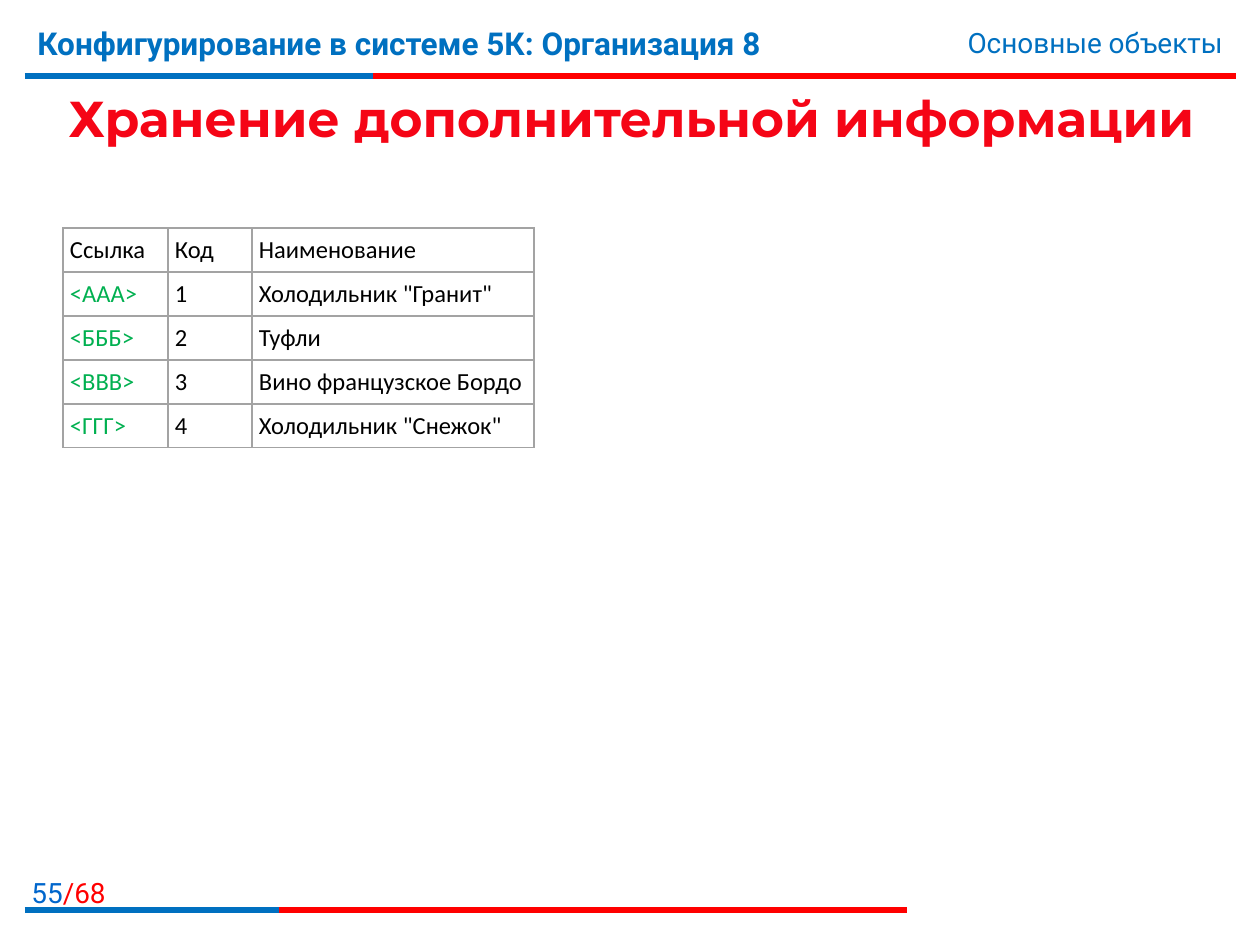
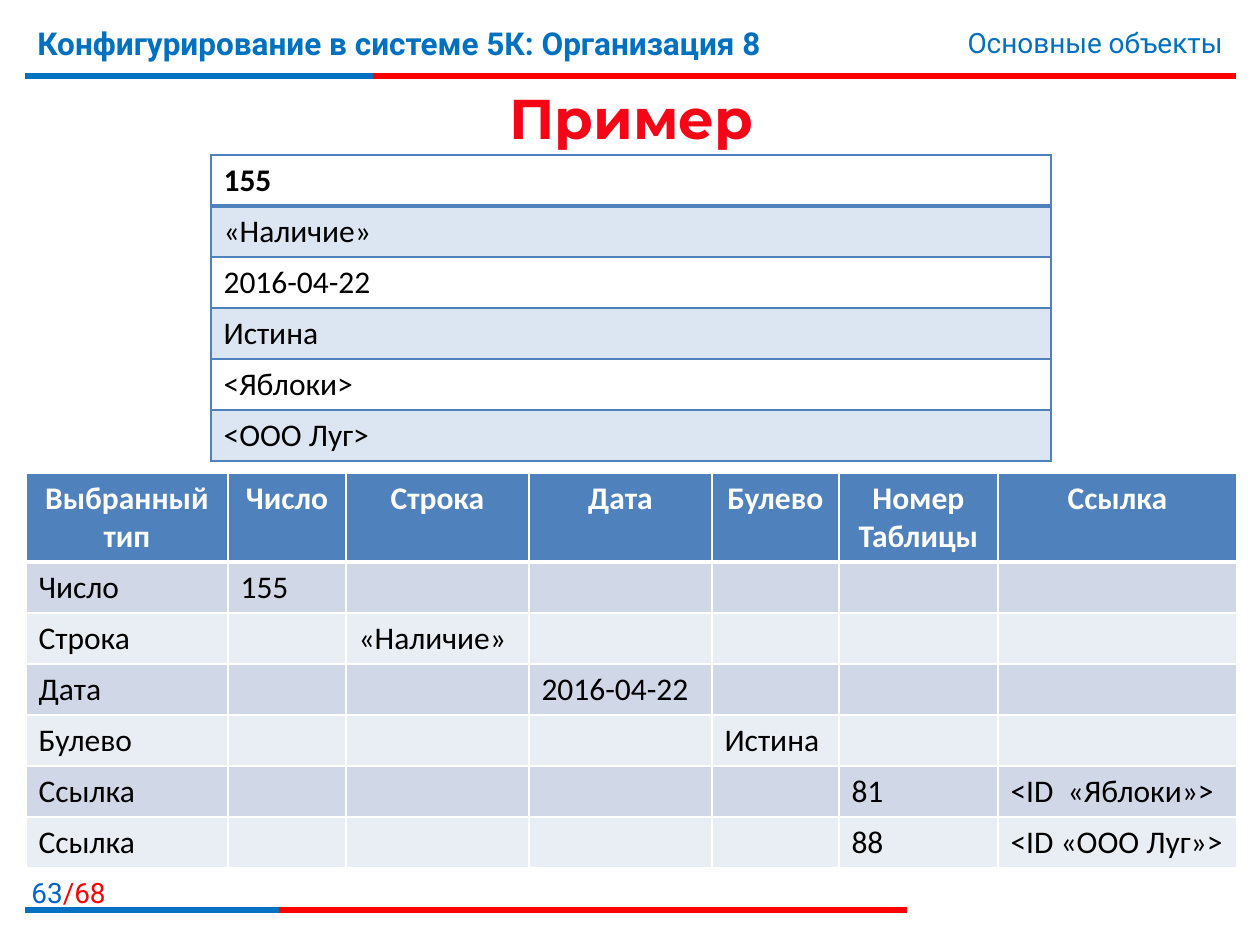
import pptx
import pptx.util
import pptx.dml.color
import pptx.enum.shapes
import pptx.enum.text
import pptx.oxml
import pptx.oxml.ns
import lxml.etree
from dataclasses import dataclass

ALIGN = pptx.enum.text.PP_ALIGN
ANCHOR = pptx.enum.text.MSO_ANCHOR


@dataclass(frozen=True)
class Theme:
    blue: str = "0070C0"
    page_blue: str = "0066CC"
    red: str = "FF0000"
    title_red: str = "F50516"
    title_dark: str = "C00000"
    black: str = "000000"
    white: str = "FFFFFF"
    green: str = "00B050"
    grey: str = "A3A3A3"
    steel: str = "4F81BD"
    steel_pale: str = "DCE6F2"
    band_dark: str = "D0D8E8"
    band_light: str = "E9EDF4"
    head_font: str = "Roboto"
    title_font: str = "Montserrat"
    body_font: str = "Calibri"
    header: float = 18
    note: float = 16
    title: float = 32
    title_long: float = 28.8
    table: float = 18
    table_small: float = 14
    rule: float = 3


T = Theme()
PAGES = 68


def px(n):
    return pptx.util.Inches(n / 126)


def rgb(c):
    return pptx.dml.color.RGBColor.from_string(c)


def add_run(p, text, size, color, font, bold=False):
    r = p.add_run()
    r.text = text
    r.font.size = pptx.util.Pt(size)
    r.font.name = font
    r.font.bold = bold
    r.font.color.rgb = rgb(color)
    return r


def add_text(s, box, align=ALIGN.LEFT, anchor=ANCHOR.TOP):
    """Add an empty text box and return its first paragraph."""
    tf = s.shapes.add_textbox(*map(px, box)).text_frame
    tf.word_wrap = True
    tf.vertical_anchor = anchor
    p = tf.paragraphs[0]
    p.alignment = align
    return p


def add_rule(s, x, y, width, blue_width):
    """Draw a red line whose first part is blue."""
    for length, color in ((width, T.red), (blue_width, T.blue)):
        line = s.shapes.add_connector(
            pptx.enum.shapes.MSO_CONNECTOR.STRAIGHT, px(x), px(y), px(x + length), px(y))
        line.line.color.rgb = rgb(color)
        line.line.width = pptx.util.Pt(T.rule)
        lxml.etree.SubElement(line._element.spPr, pptx.oxml.ns.qn("a:effectLst"))


def add_header(s, x, y, width):
    p = add_text(s, (x, y, 932, 66))
    add_run(p, "Конфигурирование в системе 5К: Организация 8",
            T.header, T.blue, T.head_font, True)
    p = add_text(s, (x + width - 487, y + 1, 486, 47), ALIGN.RIGHT)
    add_run(p, "Основные объекты", T.note, T.blue, T.head_font)
    add_rule(s, x, y + 58, width, 348)


def add_footer(s, x, y, page):
    p = add_text(s, (x - 25, y, 118, 40), ALIGN.RIGHT)
    add_run(p, str(page), T.note, T.page_blue, T.head_font)
    add_run(p, f"/{PAGES}", T.note, T.red, T.head_font)
    add_rule(s, x, y + 41, 882, 254)


def add_title(s, box, text, size):
    p = add_text(s, box, ALIGN.CENTER, ANCHOR.MIDDLE)
    r = add_run(p, text, size, T.title_red, T.title_font, True)
    fill = r.font.fill
    fill.gradient()
    fill.gradient_angle = 270
    stops = ((0.55, T.title_red), (0.86, T.title_dark))
    for stop, (position, color) in zip(fill.gradient_stops, stops):
        stop.position = position
        stop.color.rgb = rgb(color)


def set_borders(cell, color, top, bottom):
    tc_pr = cell._tc.get_or_add_tcPr()
    for i, (side, width) in enumerate((("L", 1), ("R", 1), ("T", top), ("B", bottom))):
        tc_pr.insert(i, pptx.oxml.parse_xml(
            f'<a:ln{side} {pptx.oxml.ns.nsdecls("a")} w="{pptx.util.Pt(width)}">'
            f'<a:solidFill><a:srgbClr val="{color}"/></a:solidFill></a:ln{side}>'))


def add_table(s, x, y, cols, heights, rows, border, style, size=T.table,
              head_rule=1, inset=None):
    """style(row, col) gives fill (or None), text colour, bold and alignment."""
    tbl = s.shapes.add_table(len(rows), len(cols), px(x), px(y),
                             px(sum(cols)), px(sum(heights))).table
    tbl.first_row = tbl.horz_banding = False
    for col, width in zip(tbl.columns, cols):
        col.width = px(width)
    for i, (values, height) in enumerate(zip(rows, heights)):
        tbl.rows[i].height = px(height)
        for j, value in enumerate(values):
            cell = tbl.cell(i, j)
            fill, color, bold, align = style(i, j)
            if fill:
                cell.fill.solid()
                cell.fill.fore_color.rgb = rgb(fill)
            else:
                cell.fill.background()
            if inset:
                cell.margin_left = cell.margin_right = px(inset)
                cell.margin_top = cell.margin_bottom = px(inset)
            set_borders(cell, border, head_rule if i == 1 else 1,
                        head_rule if i == 0 else 1)
            if value:
                p = cell.text_frame.paragraphs[0]
                p.alignment = align
                add_run(p, value, size, color, T.body_font, bold)


def add_goods_table(s, x, y):
    rows = [
        ("Ссылка", "Код", "Наименование"),
        ("<ААА>", "1", 'Холодильник "Гранит"'),
        ("<БББ>", "2", "Туфли"),
        ("<ВВВ>", "3", "Вино французское Бордо"),
        ("<ГГГ>", "4", 'Холодильник "Снежок"'),
    ]

    def style(i, j):
        return None, T.green if i and j == 0 else T.black, False, ALIGN.LEFT

    add_table(s, x, y, (105, 84, 282), [44] * len(rows), rows, T.grey, style,
              T.table_small, inset=7)


def add_values_table(s, x, y):
    values = ("155", "«Наличие»", "2016-04-22", "Истина", "<Яблоки>", "<ООО Луг>")

    def style(i, j):
        return T.steel_pale if i % 2 else None, T.black, i == 0, ALIGN.LEFT

    add_table(s, x, y, (840,), [51] * len(values), [(v,) for v in values],
              T.steel, style, head_rule=2)


def add_types_table(s, x, y):
    """Each row fills only the columns that belong to its chosen type."""
    head = ("Выбранный тип", "Число", "Строка", "Дата", "Булево",
            "Номер Таблицы", "Ссылка")
    entries = [
        ("Число", {1: "155"}),
        ("Строка", {2: "«Наличие»"}),
        ("Дата", {3: "2016-04-22"}),
        ("Булево", {4: "Истина"}),
        ("Ссылка", {5: "81", 6: "<ID  «Яблоки»>"}),
        ("Ссылка", {5: "88", 6: "<ID «ООО Луг»>"}),
    ]
    rows = [head] + [[kind] + [filled.get(j, "") for j in range(1, len(head))]
                     for kind, filled in entries]

    def style(i, j):
        if i == 0:
            return T.steel, T.white, True, ALIGN.CENTER
        return T.band_dark if i % 2 else T.band_light, T.black, False, ALIGN.LEFT

    add_table(s, x, y, (202, 118, 183, 183, 127, 159, 239),
              [89] + [51] * len(entries), rows, T.white, style, head_rule=3)


def add_slide(prs, title, size, page):
    s = prs.slides.add_slide(prs.slide_layouts[6])
    add_header(s, 25, 18, 1211)
    add_footer(s, 25, 869, page)
    add_title(s, (26, 79, 1211, 76), title, size)
    return s


def main():
    prs = pptx.Presentation()
    prs.slide_width, prs.slide_height = px(1260), px(945)

    s = add_slide(prs, "Хранение дополнительной информации", T.title_long, 55)
    add_goods_table(s, 63, 228)

    s = add_slide(prs, "Пример", T.title, 63)
    add_values_table(s, 211, 155)
    add_types_table(s, 26, 473)

    prs.save("out.pptx")


if __name__ == "__main__":
    main()
